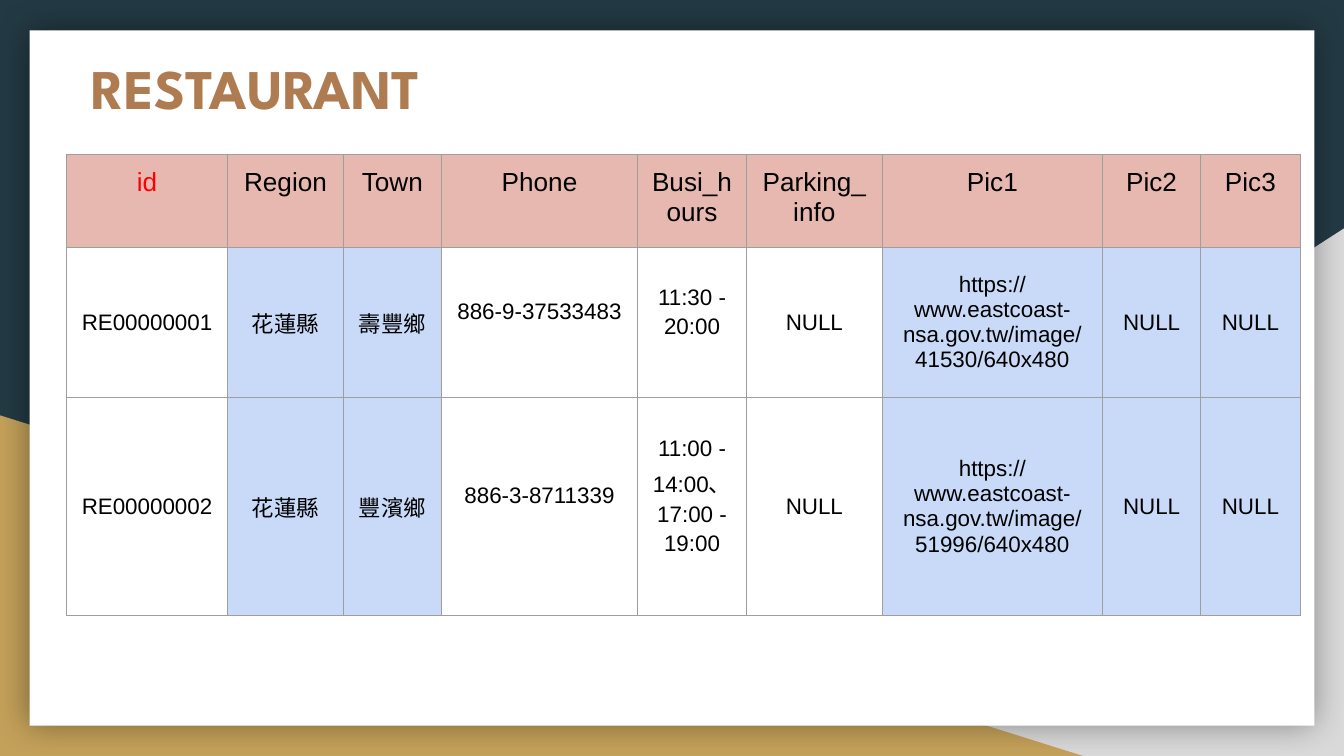
"""Build the RESTAURANT sample-data slide on a grid of 100 columns by 56.25 rows."""
from dataclasses import dataclass
from typing import Optional

from lxml import etree
from pptx import Presentation
from pptx import util as u
from pptx.dml.color import RGBColor
from pptx.enum import shapes, text
from pptx.oxml import ns

COLUMNS, ROWS = 100, 56.25
CELL = u.Inches(0.1)
PINK, BLUE, GREY = "E6B8AF", "C9DAF8", "9E9E9E"
ROW_HEIGHTS = (6.9, 11.2, 16.2)


@dataclass(frozen=True)
class Area:
    """Place and size in grid cells."""
    left: float
    top: float
    width: float
    height: float


@dataclass(frozen=True)
class Backdrop:
    """A plain background shape."""
    kind: shapes.MSO_SHAPE
    area: Area
    fill: str
    flipped: bool = False
    shaded: bool = False


@dataclass(frozen=True)
class Field:
    """A table column with its header and sample values."""
    name: str
    width: float
    values: tuple[str, str]
    fill: Optional[str] = None
    header_color: str = "000000"
    spacing: float = 1.0
    bottom: float = 1.0


BACKDROPS = (
    Backdrop(shapes.MSO_SHAPE.RIGHT_TRIANGLE, Area(39.2, 17, 60.8, 39.25), "D9D9D9", flipped=True),
    Backdrop(shapes.MSO_SHAPE.RIGHT_TRIANGLE, Area(0, 30.9, 80.6, 25.35), "C4A15A"),
    Backdrop(shapes.MSO_SHAPE.RECTANGLE, Area(2.2, 2.25, 95.6, 51.75), "FFFFFF", shaded=True),
)
IMAGE_URL = "https://www.eastcoast-nsa.gov.tw/image/{}/640x480"
FIELDS = (
    Field("id", 12, ("RE00000001", "RE00000002"), header_color="FF0000"),
    Field("Region", 8.6, ("花蓮縣", "花蓮縣"), BLUE),
    Field("Town", 7.3, ("壽豐鄉", "豐濱鄉"), BLUE),
    Field("Phone", 14.6, ("886-9-37533483", "886-3-8711339"), spacing=1.15, bottom=2.9),
    Field("Busi_hours", 8.1, ("11:30 - 20:00", "11:00 - 14:00、\n17:00 - 19:00"),
          spacing=1.15, bottom=2.8),
    Field("Parking_info", 10.1, ("NULL", "NULL")),
    Field("Pic1", 16.4, (IMAGE_URL.format(41530), IMAGE_URL.format(51996)), BLUE),
    Field("Pic2", 7.3, ("NULL", "NULL"), BLUE),
    Field("Pic3", 7.4, ("NULL", "NULL"), BLUE),
)


def cells(count: float) -> int:
    """Turn grid cells into a length."""
    return round(count * CELL)


def place(area: Area) -> tuple[int, int, int, int]:
    """Return left, top, width and height as lengths."""
    return cells(area.left), cells(area.top), cells(area.width), cells(area.height)


def paint(target, color: Optional[str]) -> None:
    """Fill with a hex colour, or leave unfilled."""
    if color is None:
        target.background()
    else:
        target.solid()
        target.fore_color.rgb = RGBColor.from_string(color)


def add_element(parent, tag: str, **attributes: str):
    """Append a drawing element to a parent."""
    return etree.SubElement(parent, ns.qn(tag), attributes)


def draw_backdrop(page, backdrop: Backdrop) -> None:
    """Draw a background shape, with a soft shadow if asked."""
    shape = page.shapes.add_shape(backdrop.kind, *place(backdrop.area))
    paint(shape.fill, backdrop.fill)
    shape.line.fill.background()
    shape.shadow.inherit = False
    properties = shape._element.spPr
    if backdrop.flipped:
        properties.xfrm.set("flipH", "1")
    if backdrop.shaded:
        effects = properties.find(ns.qn("a:effectLst"))
        shadow = add_element(effects, "a:outerShdw", blurRad=str(u.Pt(18)), algn="ctr",
                             rotWithShape="0")
        color = add_element(shadow, "a:srgbClr", val="000000")
        add_element(color, "a:alpha", val="40000")


def draw_title(page, wording: str, area: Area) -> None:
    """Write the slide heading."""
    frame = page.shapes.add_textbox(*place(area)).text_frame
    frame.word_wrap = True
    frame.margin_left = frame.margin_right = frame.margin_top = frame.margin_bottom = CELL
    frame.text = wording
    style_font(frame.paragraphs[0].font, "League Spartan", 30, "AF7B51")
    frame.paragraphs[0].font.bold = True


def style_font(font, name: str, size: float, color: str) -> None:
    """Set typeface, size and colour."""
    font.name = name
    font.size = u.Pt(size)
    font.color.rgb = RGBColor.from_string(color)


def draw_borders(cell) -> None:
    """Outline all four sides of a table cell."""
    properties = cell._tc.get_or_add_tcPr()
    for index, side in enumerate(("a:lnL", "a:lnR", "a:lnT", "a:lnB")):
        line = etree.Element(ns.qn(side), w=str(u.Pt(0.75)))
        add_element(add_element(line, "a:solidFill"), "a:srgbClr", val=GREY)
        properties.insert(index, line)


def fill_cell(cell, wording: str, field: Field, is_header: bool) -> None:
    """Write and style one table cell."""
    cell.text = wording
    cell.margin_left = cell.margin_right = cell.margin_top = cell.margin_bottom = CELL
    cell.vertical_anchor = text.MSO_ANCHOR.TOP if is_header else text.MSO_ANCHOR.MIDDLE
    if not is_header:
        cell.margin_bottom = cells(field.bottom)
    for para in cell.text_frame.paragraphs:
        para.alignment = text.PP_ALIGN.CENTER
        para.line_spacing = 1.0 if is_header else field.spacing
        style_font(para.font, "Arial", 14 if is_header else 12,
                   field.header_color if is_header else "000000")
    paint(cell.fill, PINK if is_header else field.fill)
    draw_borders(cell)


def draw_table(page, left: float, top: float) -> None:
    """Draw the sample records as a table."""
    area = Area(left, top, sum(field.width for field in FIELDS), sum(ROW_HEIGHTS))
    table = page.shapes.add_table(len(ROW_HEIGHTS), len(FIELDS), *place(area)).table
    table.first_row = table.horz_banding = False
    for row, height in zip(table.rows, ROW_HEIGHTS):
        row.height = cells(height)
    for column, field in enumerate(FIELDS):
        table.columns[column].width = cells(field.width)
        for row, wording in enumerate((field.name, *field.values)):
            fill_cell(table.cell(row, column), wording, field, is_header=row == 0)


def main() -> None:
    """Assemble and save the deck."""
    deck = Presentation()
    deck.slide_width, deck.slide_height = cells(COLUMNS), cells(ROWS)
    page = deck.slides.add_slide(deck.slide_layouts[6])
    paint(page.background.fill, "233A44")
    for backdrop in BACKDROPS:
        draw_backdrop(page, backdrop)
    draw_title(page, "RESTAURANT", Area(5.8, 3, 82.1, 10.4))
    draw_table(page, 4.95, 11.5)
    deck.save("out.pptx")


if __name__ == "__main__":
    main()
